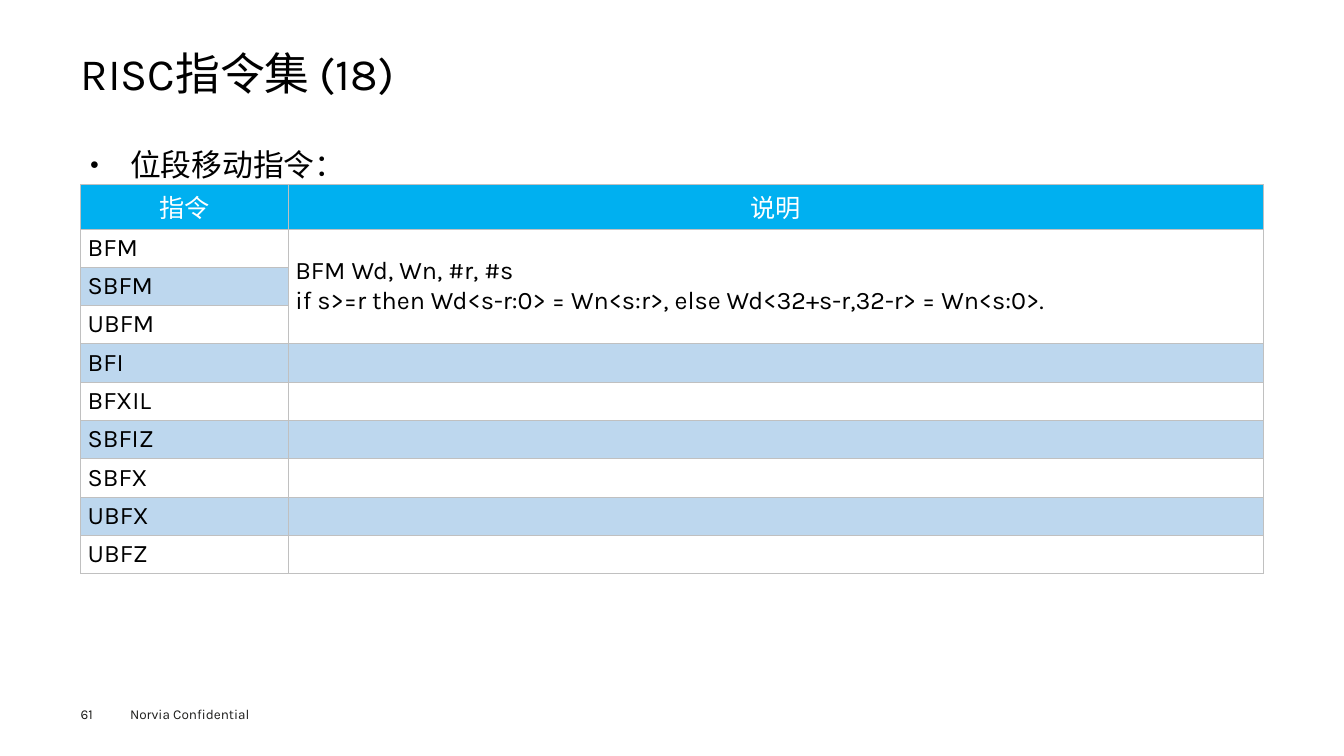
from lxml.etree import SubElement
from pptx import Presentation
from pptx.dml.color import RGBColor
from pptx.enum.text import MSO_ANCHOR, MSO_AUTO_SIZE, PP_ALIGN
from pptx.oxml.ns import qn
from pptx.util import Inches, Pt

TITLE = "RISC指令集 (18)"
TOPIC = "位段移动指令："
HEADERS = ["指令", "说明"]
INSTRUCTIONS = ["BFM", "SBFM", "UBFM", "BFI", "BFXIL", "SBFIZ", "SBFX", "UBFX", "UBFZ"]
DESCRIPTION = (
    "BFM Wd, Wn, #r, #s\n"
    "if s>=r then Wd<s-r:0> = Wn<s:r>, else Wd<32+s-r,32-r> = Wn<s:0>."
)
DESCRIBED_ROWS = 3
FOOTERS = [("61", 0.8, 0.4), ("Norvia Confidential", 1.29, 1.6)]

FONT = "Karla"
BLACK = RGBColor(0x00, 0x00, 0x00)
WHITE = RGBColor(0xFF, 0xFF, 0xFF)
HEADER_BLUE = RGBColor(0x00, 0xB0, 0xF0)
BAND_BLUE = RGBColor(0xBD, 0xD7, 0xEE)
FOOTER_INK = RGBColor(0x1D, 0x1D, 0x1B)
BORDER = "C0C0C0"

LEFT, WIDTH = 0.8, 11.73
COLUMN_WIDTHS = [2.06, 9.67]
HEADER_HEIGHT, ROW_HEIGHT = 0.44, 0.38


def place(shape, left, top, width, height):
    shape.left, shape.top = Inches(left), Inches(top)
    shape.width, shape.height = Inches(width), Inches(height)


def set_margins(box, side, end):
    box.margin_left = box.margin_right = Inches(side)
    box.margin_top = box.margin_bottom = Inches(end)


def format_text(text_frame, size, color, alignment=PP_ALIGN.LEFT):
    for paragraph in text_frame.paragraphs:
        paragraph.alignment = alignment
        for run in paragraph.runs:
            run.font.name = FONT
            run.font.size = Pt(size)
            run.font.color.rgb = color


def add_borders(cell):
    properties = cell._tc.get_or_add_tcPr()
    for position, side in enumerate(("lnL", "lnR", "lnT", "lnB")):
        line = SubElement(properties, qn(f"a:{side}"), w=str(Pt(0.38)))
        fill = SubElement(line, qn("a:solidFill"))
        SubElement(fill, qn("a:srgbClr"), val=BORDER)
        properties.insert(position, line)


def fill_cell(cell, text, fill, color, alignment):
    cell.text = text
    cell.vertical_anchor = MSO_ANCHOR.MIDDLE
    set_margins(cell, 0.07, 0.03)
    cell.fill.solid()
    cell.fill.fore_color.rgb = fill
    add_borders(cell)
    format_text(cell.text_frame, 18, color, alignment)


def add_title(slide):
    title = slide.shapes.title
    place(title, LEFT, 0.49, WIDTH, 0.53)
    title.text_frame.text = TITLE
    title.text_frame.auto_size = MSO_AUTO_SIZE.NONE
    title.text_frame.vertical_anchor = MSO_ANCHOR.MIDDLE
    set_margins(title.text_frame, 0, 0)
    title.text_frame.paragraphs[0].line_spacing = 0.9
    format_text(title.text_frame, 32, BLACK)


def add_topic(slide):
    body = slide.placeholders[1]
    place(body, LEFT, 1.26, WIDTH, 5.23)
    frame = body.text_frame
    frame.text = TOPIC
    frame.auto_size = MSO_AUTO_SIZE.NONE
    set_margins(frame, 0.09, 0.04)
    paragraph = frame.paragraphs[0]
    paragraph.line_spacing = 1.4
    paragraph.space_before = Pt(0)
    properties = paragraph._p.get_or_add_pPr()
    properties.set("marL", str(Inches(0.4)))
    properties.set("indent", str(-Inches(0.4)))
    SubElement(properties, qn("a:buSzPct"), val="50000")
    SubElement(properties, qn("a:buChar"), char="●")
    format_text(frame, 22, BLACK, PP_ALIGN.JUSTIFY)


def add_instruction_table(slide):
    row_count = len(INSTRUCTIONS) + 1
    height = HEADER_HEIGHT + ROW_HEIGHT * len(INSTRUCTIONS)
    table = slide.shapes.add_table(
        row_count, len(HEADERS), Inches(LEFT), Inches(1.83), Inches(WIDTH), Inches(height)
    ).table
    table.first_row = table.horz_banding = False
    for column, width in zip(table.columns, COLUMN_WIDTHS):
        column.width = Inches(width)
    for index, row in enumerate(table.rows):
        row.height = Inches(ROW_HEIGHT if index else HEADER_HEIGHT)

    for column, header in enumerate(HEADERS):
        fill_cell(table.cell(0, column), header, HEADER_BLUE, WHITE, PP_ALIGN.CENTER)
    for row, instruction in enumerate(INSTRUCTIONS, start=1):
        fill = WHITE if row % 2 else BAND_BLUE
        for column, text in enumerate([instruction, DESCRIPTION if row == 1 else ""]):
            fill_cell(table.cell(row, column), text, fill, BLACK, PP_ALIGN.LEFT)
    table.cell(1, 1).merge(table.cell(DESCRIBED_ROWS, 1))


def add_footers(slide):
    for text, left, width in FOOTERS:
        box = slide.shapes.add_textbox(
            Inches(left), Inches(7), Inches(width), Inches(0.16)
        )
        box.text_frame.word_wrap = True
        box.text_frame.text = text
        box.text_frame.vertical_anchor = MSO_ANCHOR.MIDDLE
        set_margins(box.text_frame, 0, 0)
        format_text(box.text_frame, 9.7, FOOTER_INK)


def main():
    """Build the slide on bit-field move instructions."""
    presentation = Presentation()
    presentation.slide_width, presentation.slide_height = Inches(13.33), Inches(7.5)
    slide = presentation.slides.add_slide(presentation.slide_layouts[1])
    add_title(slide)
    add_topic(slide)
    add_instruction_table(slide)
    add_footers(slide)
    presentation.save("out.pptx")


if __name__ == "__main__":
    main()
